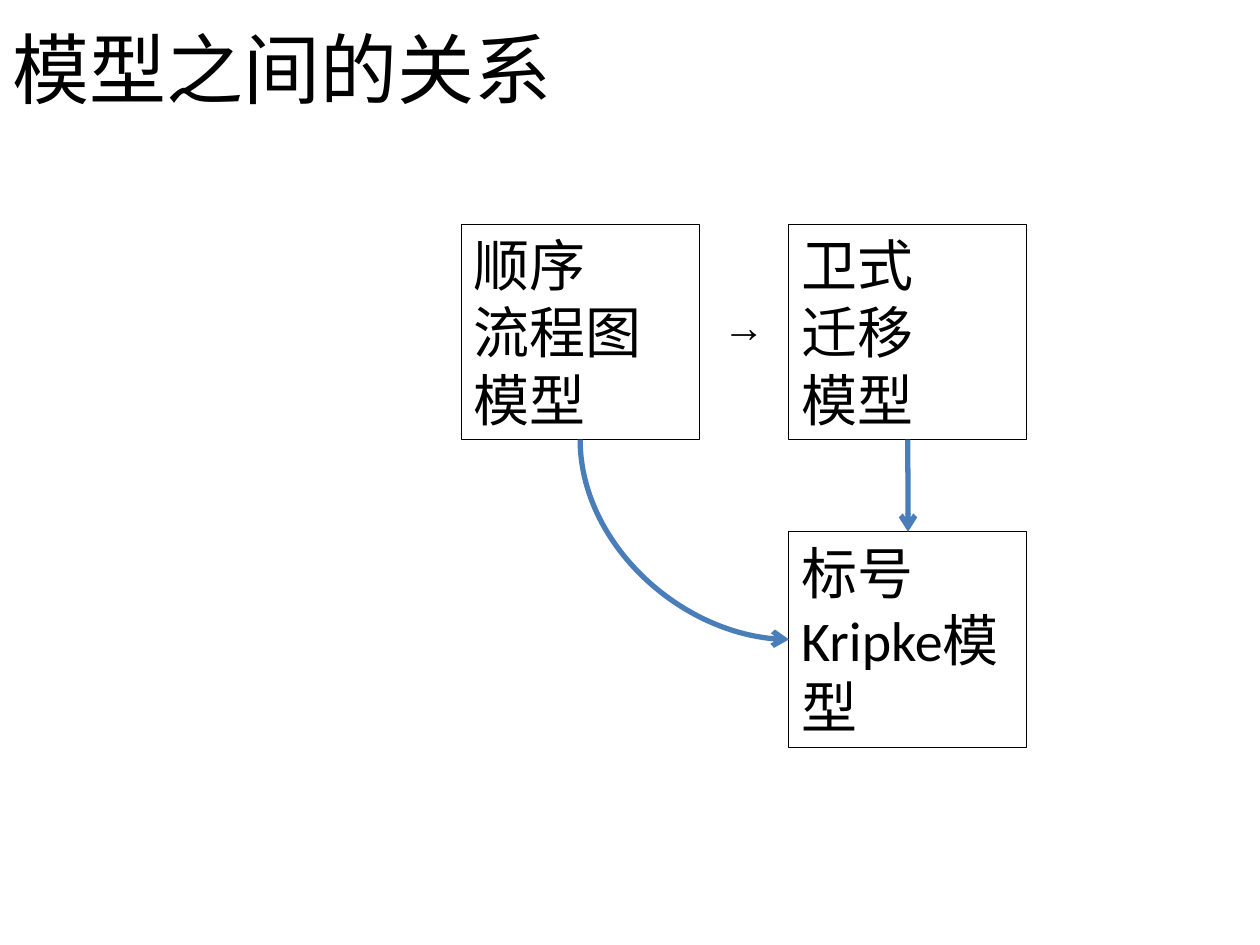
from lxml import etree
from pptx import Presentation
from pptx.dml.color import RGBColor
from pptx.enum import shapes, text
from pptx.oxml import ns
from pptx.util import Pt

COLORS = {"ink": "000000", "arrow": "4A7EBB"}
BOX_WIDTH, BOX_HEIGHT = 136, 123
LEFT_COLUMN, RIGHT_COLUMN = 263.5, 450.8
TOP_ROW, BOTTOM_ROW = 128.2, 303.9


def write(frame, lines, size, font_name, align, anchor):
    """Fill a text frame with one paragraph per line."""
    frame.vertical_anchor = anchor
    frame.text = "\n".join(lines)
    font_format = {"size": Pt(size), "name": font_name}
    for para in frame.paragraphs:
        para.alignment = align
        for span in para.runs:
            for key, value in font_format.items():
                setattr(span.font, key, value)
            span.font.color.rgb = RGBColor.from_string(COLORS["ink"])


def add_curve(page, begin, end, preset):
    """Draw a curved arrow that leaves its start point downwards."""
    # The shape is turned by 270 degrees, so its width spans the vertical gap
    width, height = end[1] - begin[1], end[0] - begin[0]
    left = (begin[0] + end[0] - width) / 2
    top = (begin[1] + end[1] - height) / 2
    curve = page.shapes.add_connector(
        shapes.MSO_CONNECTOR.CURVE,
        Pt(left + width), Pt(top), Pt(left), Pt(top + height))
    curve.line.width = Pt(3)
    curve.line.color.rgb = RGBColor.from_string(COLORS["arrow"])
    properties = curve._element.spPr
    properties.find(ns.qn("a:xfrm")).set("rot", "16200000")
    properties.find(ns.qn("a:prstGeom")).set("prst", preset)
    etree.SubElement(properties.find(ns.qn("a:ln")), ns.qn("a:tailEnd"), type="arrow")
    etree.SubElement(properties, ns.qn("a:effectLst"))


deck = Presentation()
deck.slide_width, deck.slide_height = Pt(720), Pt(540)
page = deck.slides.add_slide(deck.slide_layouts[5])

# Title
title = page.shapes.title
title_place = {"left": Pt(0), "top": Pt(0), "width": Pt(720), "height": Pt(77)}
for key, value in title_place.items():
    setattr(title, key, value)
write(title.text_frame, ["模型之间的关系"], 44, "Calibri",
      text.PP_ALIGN.LEFT, text.MSO_ANCHOR.MIDDLE)

# Model boxes
models = [
    (LEFT_COLUMN, TOP_ROW, ["顺序", "流程图模型"]),
    (RIGHT_COLUMN, TOP_ROW, ["卫式", "迁移", "模型"]),
    (RIGHT_COLUMN, BOTTOM_ROW, ["标号Kripke模型"]),
]
for left, top, lines in models:
    box = page.shapes.add_shape(shapes.MSO_SHAPE.RECTANGLE, Pt(left), Pt(top),
                                Pt(BOX_WIDTH), Pt(BOX_HEIGHT))
    box.shadow.inherit = False
    box.fill.background()
    box.line.color.rgb = RGBColor.from_string(COLORS["ink"])
    box.line.width = Pt(0.5)
    box.text_frame.word_wrap = True
    write(box.text_frame, lines, 32, "Calibri",
          text.PP_ALIGN.LEFT, text.MSO_ANCHOR.TOP)

# Arrow sign in the gap between the upper boxes
gap_left = LEFT_COLUMN + BOX_WIDTH
sign = page.shapes.add_textbox(Pt(gap_left), Pt(168),
                               Pt(RIGHT_COLUMN - gap_left), Pt(36))
sign.text_frame.word_wrap = False
write(sign.text_frame, ["→"], 24, "Arial",
      text.PP_ALIGN.CENTER, text.MSO_ANCHOR.TOP)

# Curved arrows to the lower box
row_end = TOP_ROW + BOX_HEIGHT
right_middle = RIGHT_COLUMN + BOX_WIDTH / 2
add_curve(page, (right_middle, row_end), (right_middle + 0.1, BOTTOM_ROW),
          "curvedConnector3")
add_curve(page, (LEFT_COLUMN + BOX_WIDTH / 2, row_end),
          (RIGHT_COLUMN, BOTTOM_ROW + BOX_HEIGHT / 2), "curvedConnector2")

deck.save("out.pptx")
